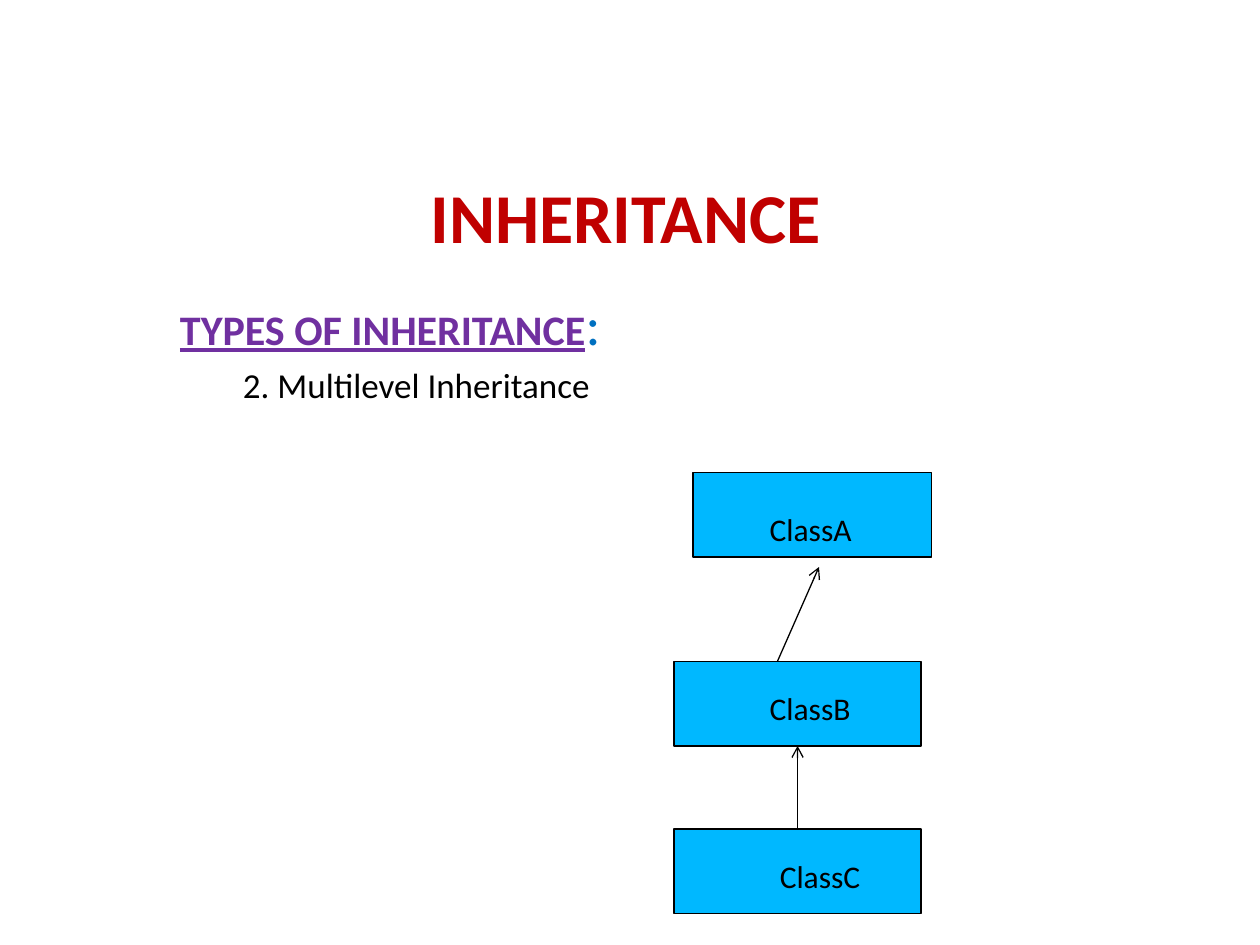
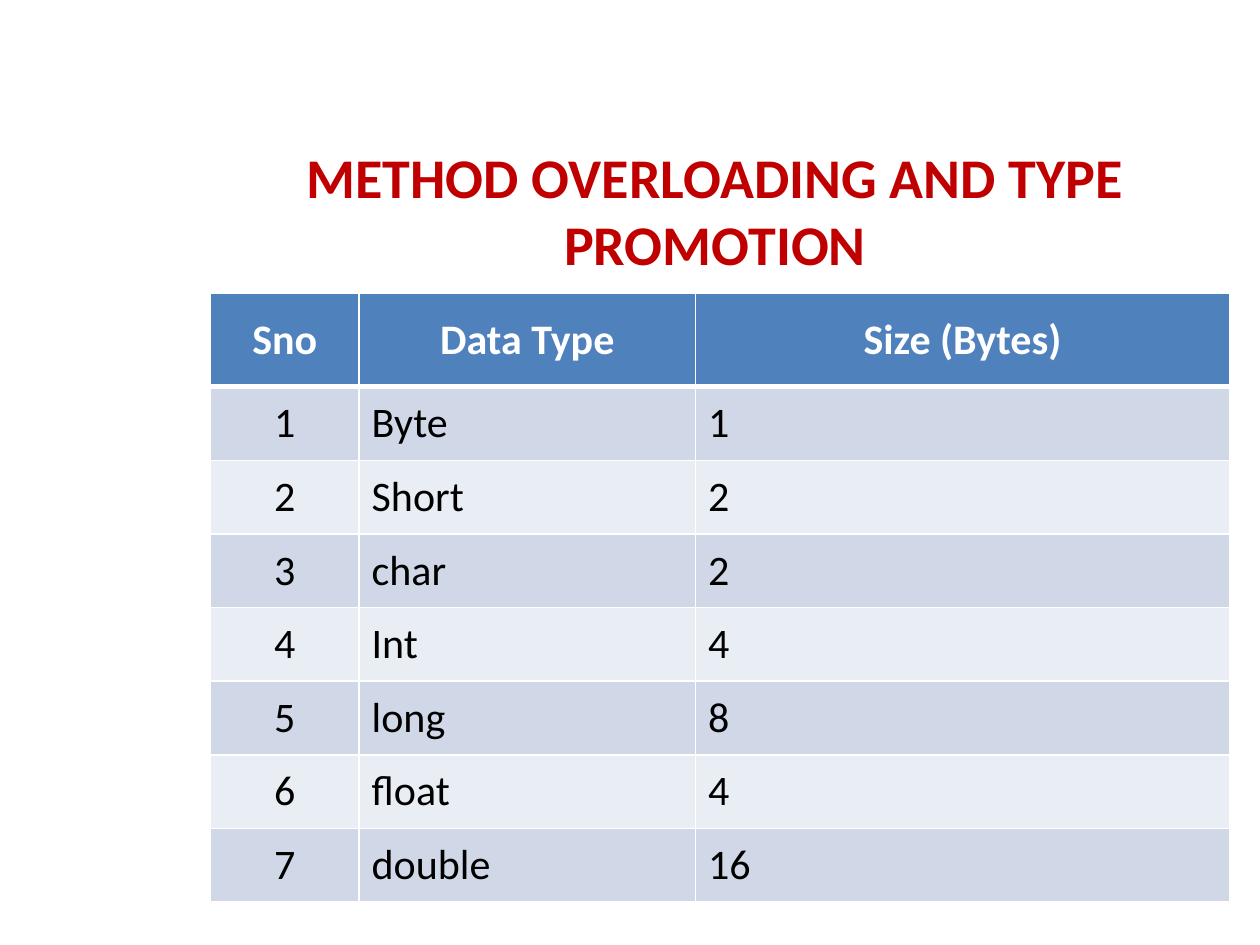
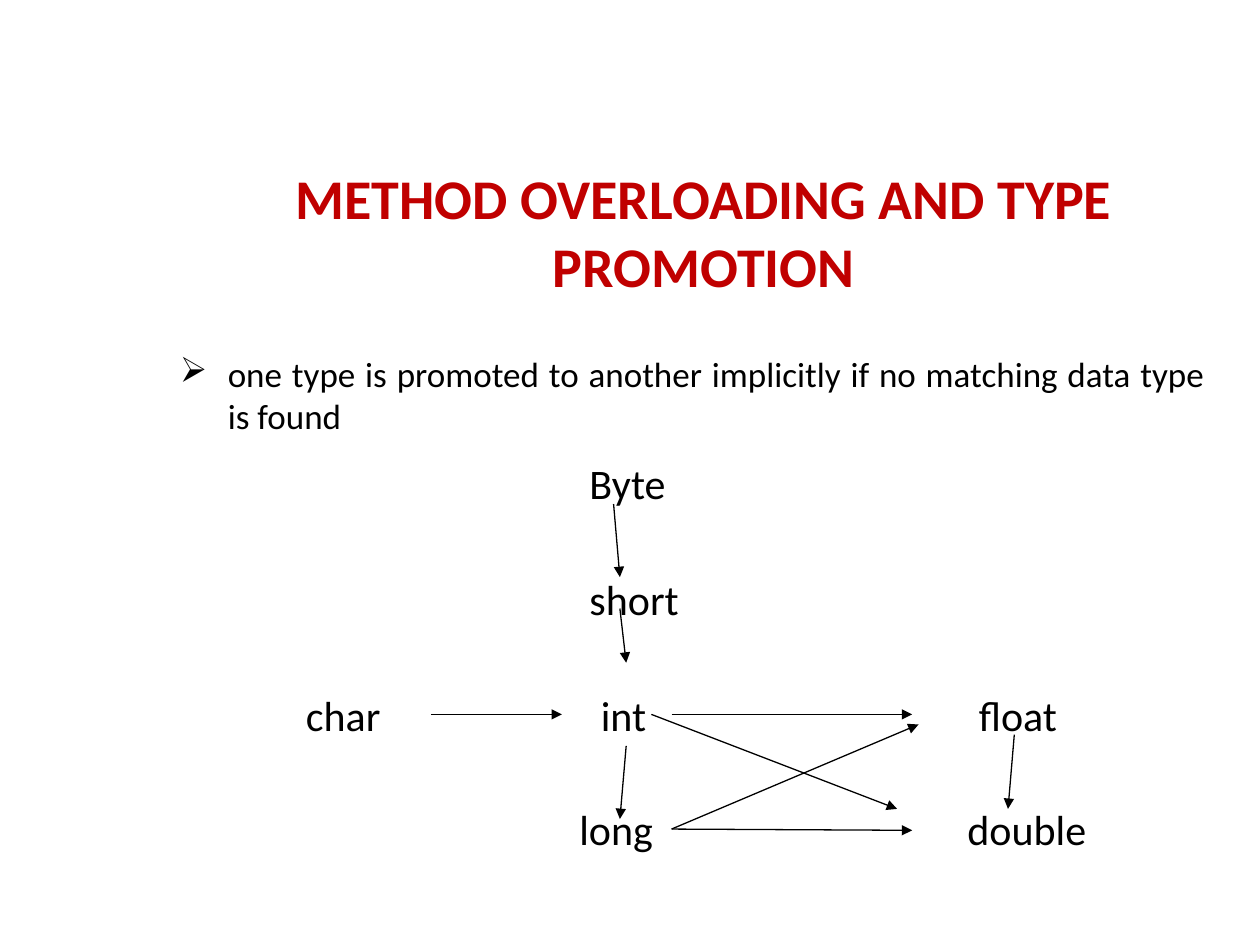
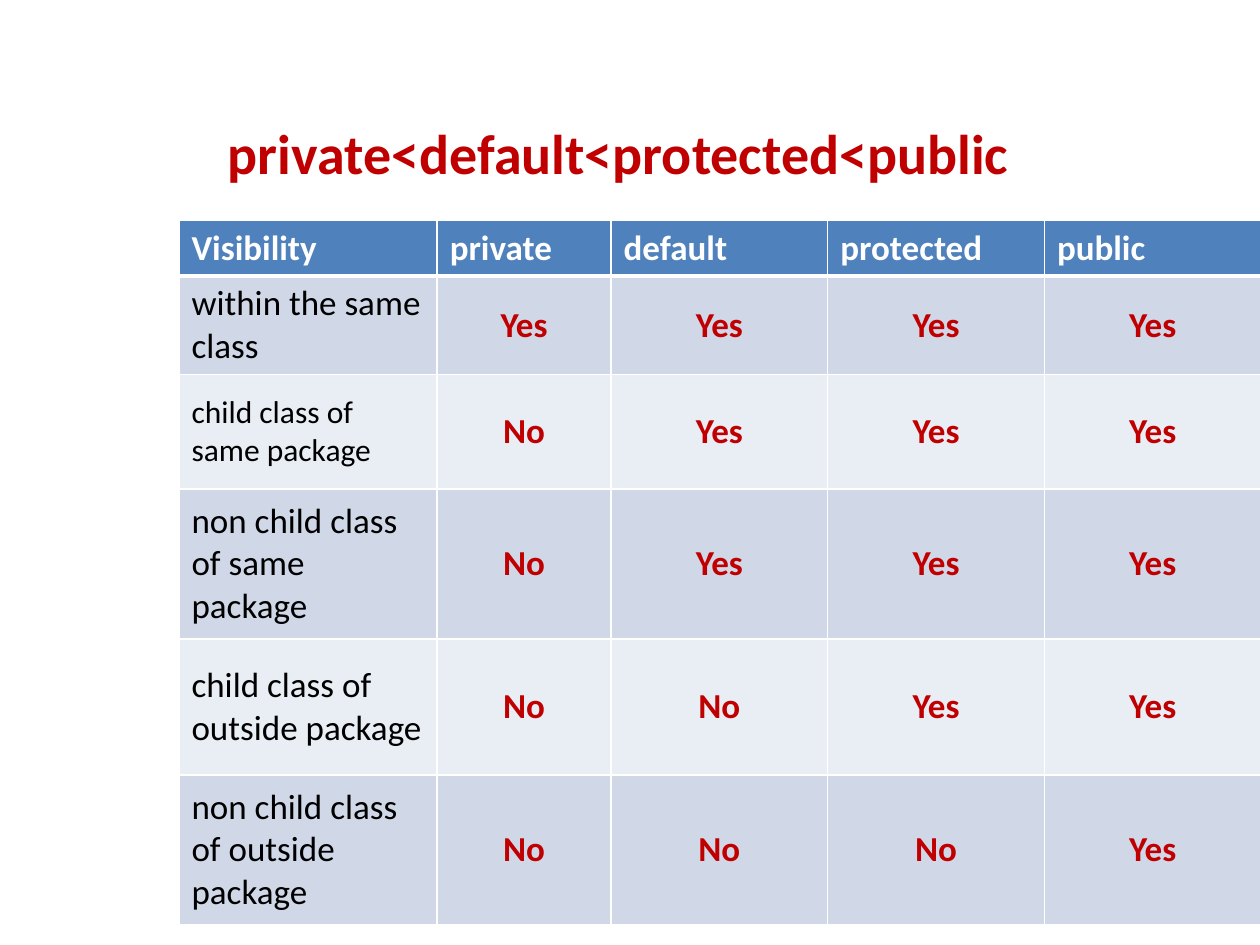
from dataclasses import dataclass

from lxml import etree
from pptx import Presentation
from pptx.dml.color import RGBColor
from pptx.enum.shapes import MSO_CONNECTOR, MSO_SHAPE
from pptx.enum.text import MSO_ANCHOR, MSO_AUTO_SIZE, PP_ALIGN
from pptx.oxml.ns import qn
from pptx.util import Inches, Pt

LEFT, CENTER, JUSTIFY = PP_ALIGN.LEFT, PP_ALIGN.CENTER, PP_ALIGN.JUSTIFY
TOP, MIDDLE = MSO_ANCHOR.TOP, MSO_ANCHOR.MIDDLE
NO_FIT, GROW = MSO_AUTO_SIZE.NONE, MSO_AUTO_SIZE.SHAPE_TO_FIT_TEXT
PROCESS = MSO_SHAPE.FLOWCHART_PROCESS
STRAIGHT = MSO_CONNECTOR.STRAIGHT
TITLE_ONLY = 5
SITE_TOP, SITE_BOTTOM = 0, 2


@dataclass(frozen=True)
class Theme:
    font: str = "Calibri"
    black: str = "000000"
    white: str = "FFFFFF"
    red: str = "C00000"
    purple: str = "7030A0"
    blue: str = "0070C0"
    box: str = "00B8FF"
    header: str = "4F81BD"
    odd_row: str = "D0D8E8"
    even_row: str = "E9EDF4"
    hero: int = 40
    title: int = 32
    large: int = 24
    body: int = 20
    small: int = 18
    line: float = 0.75
    border: int = 1
    header_border: int = 3
    spacing: float = 0.2


T = Theme()


@dataclass(frozen=True)
class Run:
    text: str
    size: int = T.body
    color: str = T.black
    bold: bool = False
    underline: bool = False


@dataclass(frozen=True)
class Para:
    runs: tuple[Run, ...]
    align: PP_ALIGN = LEFT
    margin: float = 0
    indent: float = 0
    bullet: str = ""
    spaced: bool = False


@dataclass(frozen=True)
class Box:
    left: float
    top: float
    width: float
    height: float

    def emu(self) -> tuple[int, ...]:
        return tuple(Inches(v) for v in (self.left, self.top, self.width, self.height))


@dataclass(frozen=True)
class Label:
    text: str
    left: float
    top: float
    width: float


@dataclass(frozen=True)
class Arrow:
    x1: float
    y1: float
    x2: float
    y2: float
    head: str = "triangle"


@dataclass(frozen=True)
class Column:
    width: float
    align: PP_ALIGN
    header_align: PP_ALIGN
    color: str = T.black
    bold: bool = False


def write(p, para: Para) -> None:
    p.alignment = para.align
    if para.spaced:
        p.space_before = Pt(round(T.spacing * max(r.size for r in para.runs), 1))
    if para.margin:
        pPr = p._p.get_or_add_pPr()
        pPr.set("marL", str(Inches(para.margin)))
        pPr.set("indent", str(Inches(para.indent)))
        if para.bullet:
            etree.SubElement(pPr, qn("a:buChar")).set("char", para.bullet)
    for run in para.runs:
        r = p.add_run()
        r.text = run.text
        fmt = {"name": T.font, "size": Pt(run.size), "bold": run.bold, "underline": run.underline}
        for key, value in fmt.items():
            setattr(r.font, key, value)
        r.font.color.rgb = RGBColor.from_string(run.color)


def fill_frame(tf, paras: list[Para], auto_size: MSO_AUTO_SIZE = NO_FIT) -> None:
    fmt = {"word_wrap": True, "auto_size": auto_size, "vertical_anchor": TOP}
    for key, value in fmt.items():
        setattr(tf, key, value)
    for i, para in enumerate(paras):
        write(tf.add_paragraph() if i else tf.paragraphs[0], para)


def add_text(s, box: Box, paras: list[Para], auto_size: MSO_AUTO_SIZE = NO_FIT) -> None:
    fill_frame(s.shapes.add_textbox(*box.emu()).text_frame, paras, auto_size)


def add_label(s, label: Label, size: int, height: float) -> None:
    box = Box(label.left, label.top, label.width, height)
    add_text(s, box, [Para((Run(label.text, size),))], GROW)


def add_titled_slide(prs, text: str, box: Box, size: int = T.title):
    s = prs.slides.add_slide(prs.slide_layouts[TITLE_ONLY])
    sp = s.shapes.title
    for key, value in zip(("left", "top", "width", "height"), box.emu()):
        setattr(sp, key, value)
    fill_frame(sp.text_frame, [Para((Run(text, size, T.red, True),), CENTER)])
    return s


def add_class_box(s, box: Box):
    sp = s.shapes.add_shape(PROCESS, *box.emu())
    sp.shadow.inherit = False
    sp.fill.solid()
    sp.fill.fore_color.rgb = RGBColor.from_string(T.box)
    sp.line.color.rgb = RGBColor.from_string(T.black)
    sp.line.width = Pt(T.line)
    return sp


def add_arrow(s, arrow: Arrow):
    ends = (Inches(v) for v in (arrow.x1, arrow.y1, arrow.x2, arrow.y2))
    cx = s.shapes.add_connector(STRAIGHT, *ends)
    cx.line.color.rgb = RGBColor.from_string(T.black)
    cx.line.width = Pt(T.line)
    etree.SubElement(cx.line._get_or_add_ln(), qn("a:tailEnd")).set("type", arrow.head)
    etree.SubElement(cx._element.spPr, qn("a:effectLst"))
    return cx


def set_borders(cell, top: int, bottom: int) -> None:
    tcPr = cell._tc.get_or_add_tcPr()
    widths = {"a:lnL": T.border, "a:lnR": T.border, "a:lnT": top, "a:lnB": bottom}
    for i, (tag, width) in enumerate(widths.items()):
        ln = etree.Element(qn(tag), w=str(Pt(width)))
        fill = etree.SubElement(ln, qn("a:solidFill"))
        etree.SubElement(fill, qn("a:srgbClr")).set("val", T.white)
        tcPr.insert(i, ln)


def add_grid(s, box: Box, columns: list[Column], heights: list[float],
             rows: list[tuple[str, ...]], size: int, sizes: dict[str, int]) -> None:
    table = s.shapes.add_table(len(rows), len(columns), *box.emu()).table
    for col, column in zip(table.columns, columns):
        col.width = Inches(column.width)
    for i, (height, texts) in enumerate(zip(heights, rows)):
        table.rows[i].height = Inches(height)
        for j, (column, text) in enumerate(zip(columns, texts)):
            cell = table.cell(i, j)
            cell.vertical_anchor = MIDDLE
            cell.fill.solid()
            if i == 0:
                shade, align = T.header, column.header_align
                run = Run(text, size, T.white, True)
            else:
                shade, align = (T.odd_row if i % 2 else T.even_row), column.align
                run = Run(text, sizes.get(text, size), column.color, column.bold)
            cell.fill.fore_color.rgb = RGBColor.from_string(shade)
            set_borders(cell, T.header_border if i == 1 else T.border,
                        T.header_border if i == 0 else T.border)
            write(cell.text_frame.paragraphs[0], Para((run,), align, spaced=True))


def build_inheritance(prs) -> None:
    s = add_titled_slide(prs, "INHERITANCE", Box(0, 1.33, 9.93, 0.83), T.hero)
    heading = (Run("TYPES OF INHERITANCE", T.large, T.purple, True, True),
               Run(":", T.title, T.blue))
    add_text(s, Box(1.33, 2.25, 7.92, 4.75), [
        Para(heading, margin=0.38, indent=-0.38, spaced=True),
        Para((Run("2. Multilevel Inheritance"),), margin=0.81, indent=-0.31, spaced=True),
    ])
    boxes = [Box(5.5, 3.75, 1.89, 0.67), Box(5.35, 5.25, 1.96, 0.67), Box(5.35, 6.58, 1.96, 0.67)]
    _, class_b, class_c = [add_class_box(s, box) for box in boxes]
    add_arrow(s, Arrow(6.17, 5.25, 6.5, 4.5, "arrow"))
    cx = add_arrow(s, Arrow(6.33, 6.58, 6.33, 5.92, "arrow"))
    cx.begin_connect(class_c, SITE_TOP)
    cx.end_connect(class_b, SITE_BOTTOM)
    for label in (Label("ClassA", 6.01, 4, 0.98),
                  Label("ClassB", 6.01, 5.42, 0.98),
                  Label("ClassC", 6.09, 6.75, 0.98)):
        add_label(s, label, T.small, 0.4)


def build_data_types(prs, title: str) -> None:
    s = add_titled_slide(prs, title, Box(1.35, 1.08, 8.65, 0.83))
    columns = [Column(1.18, CENTER, CENTER), Column(2.67, LEFT, CENTER), Column(4.24, LEFT, CENTER)]
    types = [("Byte", "1"), ("Short", "2"), ("char", "2"), ("Int", "4"),
             ("long", "8"), ("float", "4"), ("double", "16")]
    rows = [("Sno", "Data Type", "Size (Bytes)")]
    rows += [(str(n), *pair) for n, pair in enumerate(types, 1)]
    box, header = Box(1.67, 2.33, 8.08, 4.83), 0.74
    heights = [header] + [(box.height - header) / len(types)] * len(types)
    add_grid(s, box, columns, heights, rows, T.large, {})


def build_promotion(prs, title: str) -> None:
    s = add_titled_slide(prs, title, Box(1.33, 1.25, 8.51, 0.92))
    rule = Run("one type is promoted to another implicitly if no matching data type is found")
    add_text(s, Box(1.33, 2.75, 8.33, 4.25), [Para((rule,), JUSTIFY, 0.38, -0.38, "➢", True)])
    for label in (
        Label("Byte", 4.58, 3.58, 1.05),
        Label("short", 4.58, 4.5, 1.08),
        Label("int", 4.67, 5.42, 0.64),
        Label("long", 4.5, 6.33, 0.83),
        Label("float", 7.67, 5.42, 0.93),
        Label("double", 7.58, 6.33, 1.17),
        Label("char", 2.33, 5.42, 1),
    ):
        add_label(s, label, T.large, 0.5)
    for arrow in (
        Arrow(4.87, 4, 4.92, 4.58),
        Arrow(4.92, 4.83, 4.97, 5.26),
        Arrow(4.97, 5.92, 4.92, 6.5),
        Arrow(5.33, 5.67, 7.24, 5.67),
        Arrow(5.33, 6.58, 7.24, 6.59),
        Arrow(5.17, 5.67, 7.12, 6.42),
        Arrow(5.33, 6.58, 7.29, 5.75),
        Arrow(8.05, 5.83, 8, 6.42),
        Arrow(3.42, 5.67, 4.46, 5.67),
    ):
        add_arrow(s, arrow)


def build_visibility(prs) -> None:
    levels = ("private", "default", "protected", "public")
    s = add_titled_slide(prs, "<".join(levels), Box(-0.18, 0.89, 10.18, 0.49))
    columns = [Column(2.05, LEFT, LEFT)]
    columns += [Column(w, CENTER, LEFT, T.red, True) for w in (1.38, 1.72, 1.72, 1.72)]
    scopes = {
        "within the same class": 0,
        "child class of same package": 1,
        "non child class of same package": 1,
        "child class of outside package": 2,
        "non child class of outside package": 3,
    }
    rows = [("Visibility", *levels)]
    for scope, denied in scopes.items():
        rows.append((scope, *["No"] * denied, *["Yes"] * (len(levels) - denied)))
    add_grid(s, Box(1.42, 1.75, 8.58, 5.56), columns, [0.43, 0.76, 0.91, 1.19, 1.08, 1.19],
             rows, T.body, {"child class of same package": T.small})


def main() -> None:
    prs = Presentation()
    prs.slide_width, prs.slide_height = Inches(10), Inches(7.5)
    promotion_title = "METHOD OVERLOADING AND TYPE PROMOTION"
    build_inheritance(prs)
    build_data_types(prs, promotion_title)
    build_promotion(prs, promotion_title)
    build_visibility(prs)
    prs.save("out.pptx")


if __name__ == "__main__":
    main()
